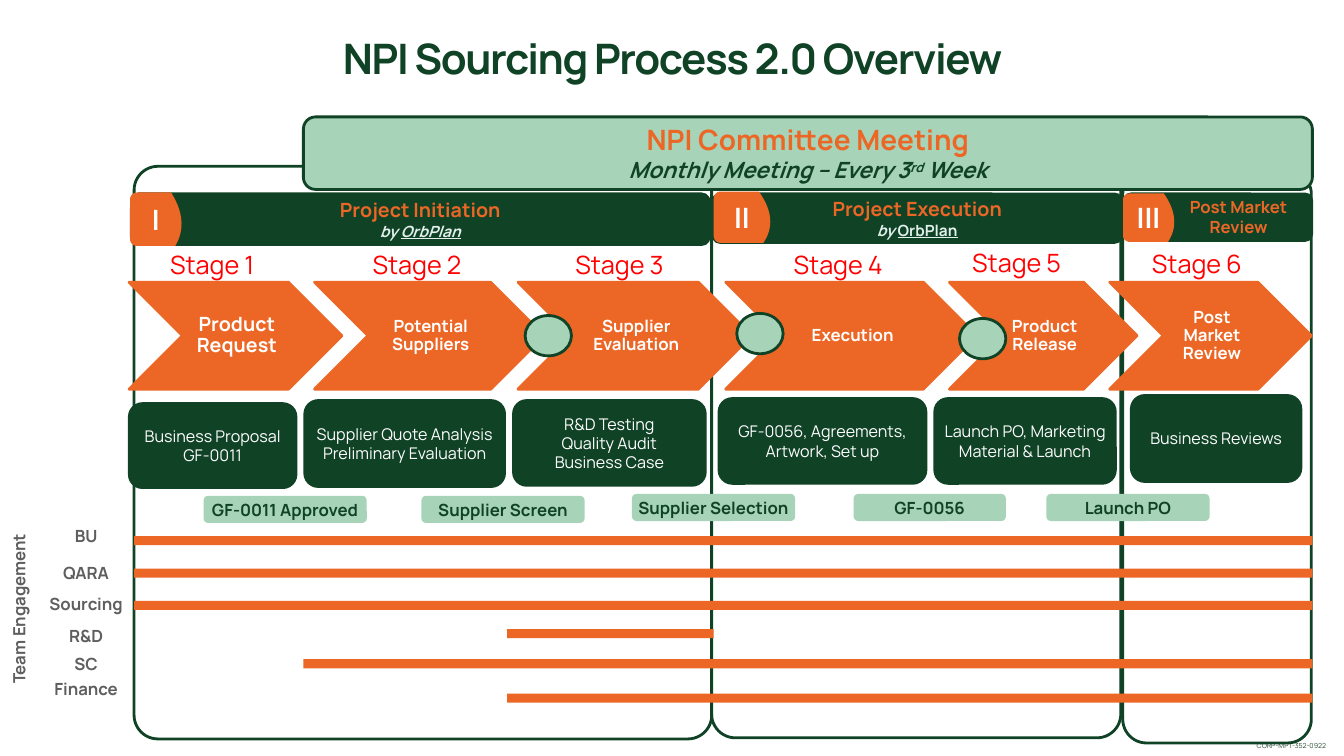
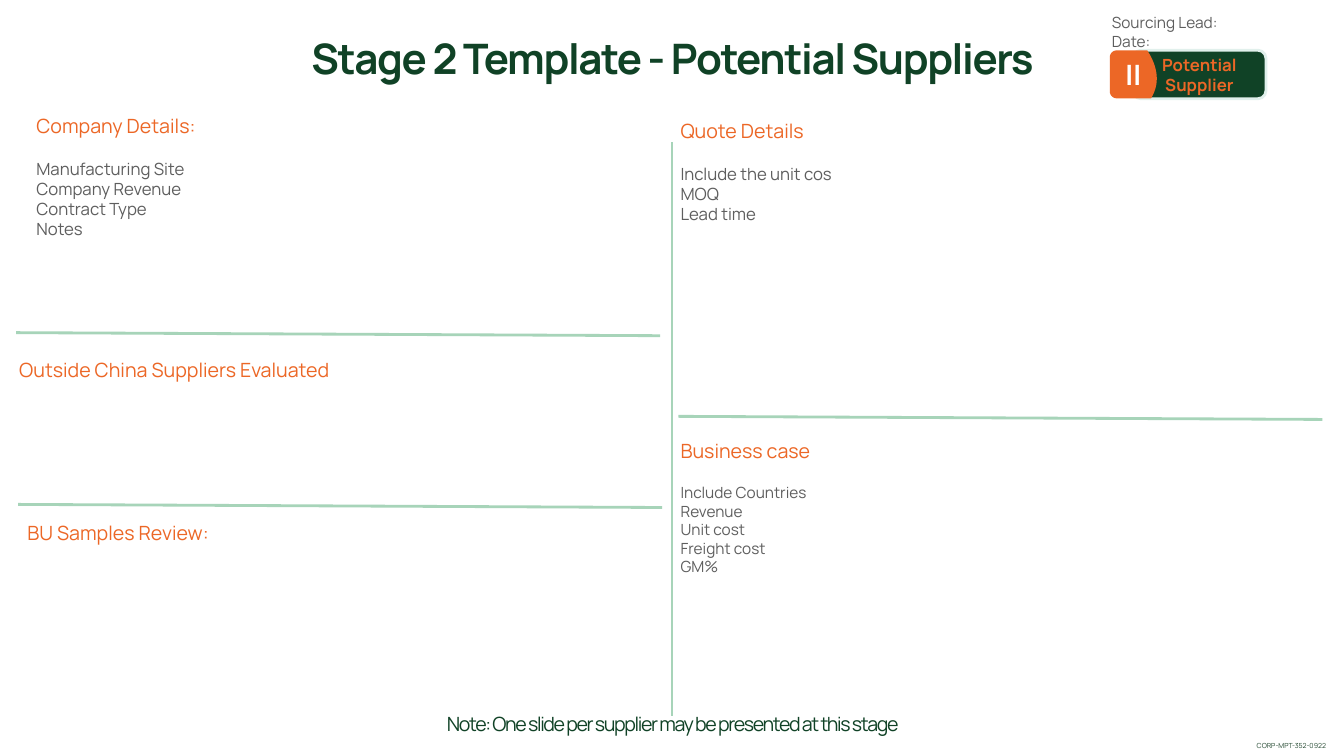
from dataclasses import dataclass
from math import cos, pi, sin
from typing import NamedTuple, Optional, Sequence, Union

from lxml.etree import SubElement
from pptx import Presentation
from pptx.dml.color import RGBColor
from pptx.enum.shapes import MSO_CONNECTOR, MSO_SHAPE
from pptx.enum.text import MSO_ANCHOR, PP_ALIGN
from pptx.oxml.ns import qn
from pptx.util import Pt

FONT = "Manrope"
GREEN = RGBColor(0x10, 0x42, 0x26)
FOOTER_GREEN = RGBColor(0x24, 0x49, 0x31)
MINT = RGBColor(0xA7, 0xD4, 0xB9)
PALE = RGBColor(0xE1, 0xF0, 0xEC)
ORANGE = RGBColor(0xEC, 0x67, 0x26)
GRAY = RGBColor(0x5E, 0x5E, 0x5E)
RED = RGBColor(0xFF, 0x00, 0x00)
WHITE = RGBColor(0xFF, 0xFF, 0xFF)


class Area(NamedTuple):
    left: float
    top: float
    width: float
    height: float

    def lengths(self) -> list:
        return [Pt(value) for value in self]


class Style(NamedTuple):
    size: float
    color: RGBColor
    bold: bool = False
    italic: bool = False


class Span(NamedTuple):
    text: str
    underline: bool = False
    upright: bool = False
    superscript: bool = False


class Line(NamedTuple):
    content: Union[str, Sequence[Span]]
    style: Style
    before: float = 0
    spacing: Optional[float] = None
    tracking: int = 0


@dataclass
class Stage:
    label_left: float
    label_top: float
    name: str
    chevron_left: float
    chevron_width: float
    task: Area
    task_lines: Sequence[str]
    name_size: float = 12


@dataclass
class Phase:
    numeral: str
    frame: Area
    header: Area
    badge: Area
    lines: Sequence[Line]
    left_inset: float = 1.5


class Section(NamedTuple):
    area: Area
    heading: str
    items: Sequence[str] = ()
    size: float = 12


TITLE = Style(30, GREEN, bold=True)
HEADING = Style(14, ORANGE)
PHASE = Style(14, ORANGE, bold=True)
SMALL_PHASE = Style(12, ORANGE, bold=True)
PHASE_NOTE = Style(11, PALE, bold=True, italic=True)
NUMERAL = Style(20, WHITE, bold=True)
TASK = Style(11.5, WHITE)
GATE = Style(12, GREEN, bold=True)
TEAM = Style(12, GRAY, bold=True)
STAGE = Style(18, RED)

TITLE_AREA = Area(168, 9.4, 625, 51)
BAR_RIGHT = 937.4

STAGES = [
    Stage(100.8, 175, "Product Request", 92.2, 152,
          Area(91.4, 287.3, 121, 62), ["Business Proposal", "GF-0011"], 14),
    Stage(247, 175, "Potential Suppliers", 224.7, 164,
          Area(216.7, 285.1, 144.7, 63.4),
          ["Supplier Quote Analysis", "Preliminary Evaluation"]),
    Stage(391.7, 175, "Supplier Evaluation", 370, 167,
          Area(365.8, 285.1, 139, 62.6),
          ["R&D Testing", "Quality Audit", "Business Case"]),
    Stage(548, 175, "Execution", 518.4, 179.3,
          Area(512.6, 283.7, 149.8, 62.6),
          ["GF-0056, Agreements,", "Artwork, Set up"]),
    Stage(675.4, 173.5, "Product Release", 678.2, 134,
          Area(666.7, 283.7, 131, 62.6),
          ["Launch PO, Marketing Material & Launch"]),
    Stage(804.2, 174.2, "Post Market Review", 792.7, 144,
          Area(807.1, 281.5, 123.1, 63.4), ["Business Reviews"]),
]
PHASES = [
    Phase("III", Area(802, 121.7, 134.7, 409), Area(802, 137.5, 136, 35.3),
          Area(802, 138.2, 36.7, 34.6),
          [Line("Post Market", SMALL_PHASE), Line("Review", SMALL_PHASE)], 31),
    Phase("II", Area(508.3, 118, 292.3, 409), Area(508.3, 137.5, 293.8, 36.7),
          Area(509.8, 136.8, 40.3, 36.7),
          [Line("Project Execution", PHASE),
           Line([Span("by "), Span("OrbPlan", underline=True, upright=True)],
                PHASE_NOTE)]),
    Phase("I", Area(95.8, 118.8, 412.6, 409), Area(92.9, 137.5, 414.7, 38.2),
          Area(92.9, 137.5, 36.7, 38.2),
          [Line("Project Initiation", PHASE),
           Line([Span("by "), Span("OrbPlan", underline=True)], PHASE_NOTE)]),
]
GATES = [
    ("GF-0011 Approved", Area(145.4, 354.2, 116.6, 19.4)),
    ("Supplier Screen", Area(301, 354.2, 116.6, 19.4)),
    ("Supplier Selection", Area(451.4, 352.8, 116.6, 19.4)),
    ("GF-0056", Area(609.8, 352.8, 108.7, 19.4)),
    ("Launch PO", Area(747.4, 352.8, 116.6, 19.4)),
]
# Team, label middle, bar left, bar top, bar right
TEAMS = [
    ("BU", 383, 95.8, 383, BAR_RIGHT),
    ("QARA", 409, 95.8, 406.1, BAR_RIGHT),
    ("Sourcing", 431.3, 95.8, 429.1, BAR_RIGHT),
    ("R&D", 454.3, 362.2, 449.3, 509.8),
    ("SC", 473.8, 216.7, 470.9, BAR_RIGHT),
    ("Finance", 491.8, 362.2, 495.4, BAR_RIGHT),
]
MILESTONES = [(375.1, 225.4), (526.3, 223.9), (685.4, 227.5)]
SECTIONS = [
    Section(Area(24.5, 80, 450, 133), "Company Details:",
            ["Manufacturing Site", "Company Revenue", "Contract Type", "Notes"]),
    Section(Area(12.2, 254.2, 459, 67), "Outside China Suppliers Evaluated"),
    Section(Area(18, 370.8, 450, 141), "BU Samples Review:"),
    Section(Area(484.6, 83.5, 458, 127), "Quote Details",
            ["Include the unit cos", "MOQ", "Lead time"]),
    Section(Area(484.6, 311.8, 439, 186), "Business case",
            ["Include Countries", "Revenue", "Unit cost", "Freight cost", "GM%"], 11),
]


def write(shape, lines: Sequence[Line], align=PP_ALIGN.CENTER,
          anchor=MSO_ANCHOR.MIDDLE, left_inset: float = 1.5) -> None:
    frame = shape.text_frame
    frame.word_wrap = True
    frame.vertical_anchor = anchor
    frame.margin_left = Pt(left_inset)
    frame.margin_top = frame.margin_right = frame.margin_bottom = Pt(1.5)
    for index, line in enumerate(lines):
        para = frame.add_paragraph() if index else frame.paragraphs[0]
        para.alignment = align
        para.space_before = Pt(line.before)
        if line.spacing:
            para.line_spacing = line.spacing
        style = line.style
        para.font.name, para.font.size = FONT, Pt(style.size)
        para.font.bold, para.font.italic = style.bold, style.italic
        para.font.color.rgb = style.color
        spans = [Span(line.content)] if isinstance(line.content, str) else line.content
        for part in spans:
            span = para.add_run()
            span.text = part.text
            if part.underline:
                span.font.underline = True
            if part.upright:
                span.font.italic = False
            if part.superscript:
                span.font._element.set("baseline", "30000")
            if line.tracking:
                span.font._element.set("spc", str(line.tracking))


def add_text(page, area: Area, lines: Sequence[Line], **layout):
    box = page.shapes.add_textbox(*area.lengths())
    write(box, lines, **layout)
    return box


def paint(shape, fill: Optional[RGBColor], line: Optional[RGBColor] = None) -> None:
    shape.shadow.inherit = False
    if fill is None:
        shape.fill.background()
    else:
        shape.fill.solid()
        shape.fill.fore_color.rgb = fill
    if line is None:
        shape.line.fill.background()
    else:
        shape.line.color.rgb = line
        shape.line.width = Pt(2)


def add_block(page, kind, area: Area, fill: Optional[RGBColor],
              line: Optional[RGBColor] = None, radius: Optional[float] = None):
    shape = page.shapes.add_shape(kind, *area.lengths())
    paint(shape, fill, line)
    if radius is not None:
        shape.adjustments[0] = radius / min(area.width, area.height)
    return shape


def add_badge(page, area: Area, numeral: str) -> None:
    """Tab with rounded left corners and a bulging right edge."""
    left, top, width, height = area
    radius = 5
    points = []
    for step in range(17):
        t = step / 16
        start, pull, end = (1 - t) ** 2, 2 * t * (1 - t), t * t
        points.append((left + width * (0.8 * start + 1.16 * pull + 0.88 * end),
                       top + height * (0.55 * pull + end)))
    for middle, first in ((top + height - radius, pi / 2), (top + radius, pi)):
        for step in range(7):
            angle = first + step * pi / 12
            points.append((left + radius + radius * cos(angle),
                           middle + radius * sin(angle)))
    outline = [(Pt(x), Pt(y)) for x, y in points]
    builder = page.shapes.build_freeform(*outline[0])
    builder.add_line_segments(outline[1:], close=True)
    badge = builder.convert_to_shape()
    paint(badge, ORANGE)
    write(badge, [Line(numeral, NUMERAL)])


def add_rule(page, start: tuple, end: tuple, weight: float = 2) -> None:
    rule = page.shapes.add_connector(
        MSO_CONNECTOR.STRAIGHT, *[Pt(value) for value in (*start, *end)])
    rule.line.color.rgb = MINT
    rule.line.width = Pt(weight)
    SubElement(rule._element.spPr, qn("a:effectLst"))


def add_page(deck, title: str):
    page = deck.slides.add_slide(deck.slide_layouts[6])
    # Document number
    table = page.shapes.add_table(1, 1, *Area(897, 526.3, 62, 13.7).lengths()).table
    table.first_row = table.horz_banding = False
    cell = table.cell(0, 0)
    cell.fill.background()
    cell.vertical_anchor = MSO_ANCHOR.BOTTOM
    cell.margin_left = cell.margin_right = cell.margin_top = Pt(0.7)
    cell.margin_bottom = Pt(3.6)
    para = cell.text_frame.paragraphs[0]
    para.add_run().text = "CORP-MPT-352-0922"
    para.font.name, para.font.size = FONT, Pt(5)
    para.font.color.rgb = FOOTER_GREEN
    # Title
    add_text(page, TITLE_AREA, [Line(title, TITLE, spacing=0.8, tracking=-100)],
             anchor=MSO_ANCHOR.BOTTOM)
    return page


def build_overview(deck) -> None:
    page = add_page(deck, "NPI Sourcing Process 2.0 Overview")
    rounded = MSO_SHAPE.ROUNDED_RECTANGLE
    # Phases
    for phase in PHASES:
        add_block(page, rounded, phase.frame, None, GREEN, radius=17)
    for phase in PHASES:
        header = add_block(page, rounded, phase.header, GREEN)
        write(header, phase.lines, left_inset=phase.left_inset)
        add_badge(page, phase.badge, phase.numeral)
    # Stages
    for number, stage in enumerate(STAGES, start=1):
        add_text(page, Area(stage.label_left, stage.label_top, 101.5, 27.4),
                 [Line(f"Stage {number}", STAGE)])
        area = Area(stage.chevron_left, 201.6, stage.chevron_width, 76.4)
        chevron = add_block(page, MSO_SHAPE.CHEVRON, area, ORANGE, ORANGE)
        name_style = Style(stage.name_size, WHITE, bold=True)
        write(chevron, [Line(stage.name, name_style, spacing=0.9)], left_inset=3.6)
        task = add_block(page, rounded, stage.task, GREEN)
        write(task, [Line(text, TASK) for text in stage.task_lines])
    # Gates and milestones
    for text, area in GATES:
        write(add_block(page, rounded, area, MINT), [Line(text, GATE)])
    for left, top in MILESTONES:
        add_block(page, MSO_SHAPE.OVAL, Area(left, top, 33.1, 28.8), MINT, GREEN)
    # Team engagement
    for team, middle, left, top, right in TEAMS:
        add_text(page, Area(12.5, middle - 8.5, 98, 17), [Line(team, TEAM)])
        add_block(page, MSO_SHAPE.RECTANGLE, Area(left, top, right - left, 6.5), ORANGE)
    caption = add_text(page, Area(-50.4, 426.2, 127.4, 17.3),
                       [Line("Team Engagement", TEAM)])
    caption.rotation = 270
    # Committee band
    band = add_block(page, rounded, Area(216.7, 83.5, 720.7, 51.8), MINT, GREEN)
    write(band, [
        Line("NPI Committee Meeting", Style(20, ORANGE, bold=True)),
        Line([Span("Monthly Meeting – Every 3"), Span("rd", superscript=True),
              Span(" Week")], Style(16, GREEN, bold=True, italic=True))])


def build_template(deck) -> None:
    page = add_page(deck, "Stage 2 Template - Potential Suppliers")
    # Stage marker
    add_text(page, Area(792.7, 8, 157.7, 29.5),
             [Line(text, Style(11, GRAY)) for text in ("Sourcing Lead:", "Date:")],
             align=PP_ALIGN.LEFT)
    marker = add_block(page, MSO_SHAPE.ROUNDED_RECTANGLE,
                       Area(809.3, 35.9, 95, 34.7), GREEN, PALE)
    write(marker, [Line(text, SMALL_PHASE) for text in ("Potential", "Supplier")])
    add_badge(page, Area(792.7, 36, 33.5, 34.3), "II")
    # Sections
    for section in SECTIONS:
        items = [Line(text, Style(section.size, GRAY), before=0 if index else 15)
                 for index, text in enumerate(section.items)]
        add_text(page, section.area, [Line(section.heading, HEADING), *items],
                 align=PP_ALIGN.LEFT, anchor=MSO_ANCHOR.TOP)
    # Dividers
    add_rule(page, (480.2, 101.5), (480.2, 511.2), 1.5)
    for left, top in ((11.5, 237.6), (13, 360.3), (484.6, 297.4)):
        add_rule(page, (left, top), (left + 460, top + 2.2))
    # Note
    add_text(page, Area(168, 501, 625, 26),
             [Line("Note: One slide per supplier may be presented at this stage",
                   Style(14, GREEN), spacing=0.8, tracking=-100)],
             anchor=MSO_ANCHOR.BOTTOM)


def main() -> None:
    deck = Presentation()
    deck.slide_width, deck.slide_height = Pt(960), Pt(540)
    build_overview(deck)
    build_template(deck)
    deck.save("out.pptx")


if __name__ == "__main__":
    main()
